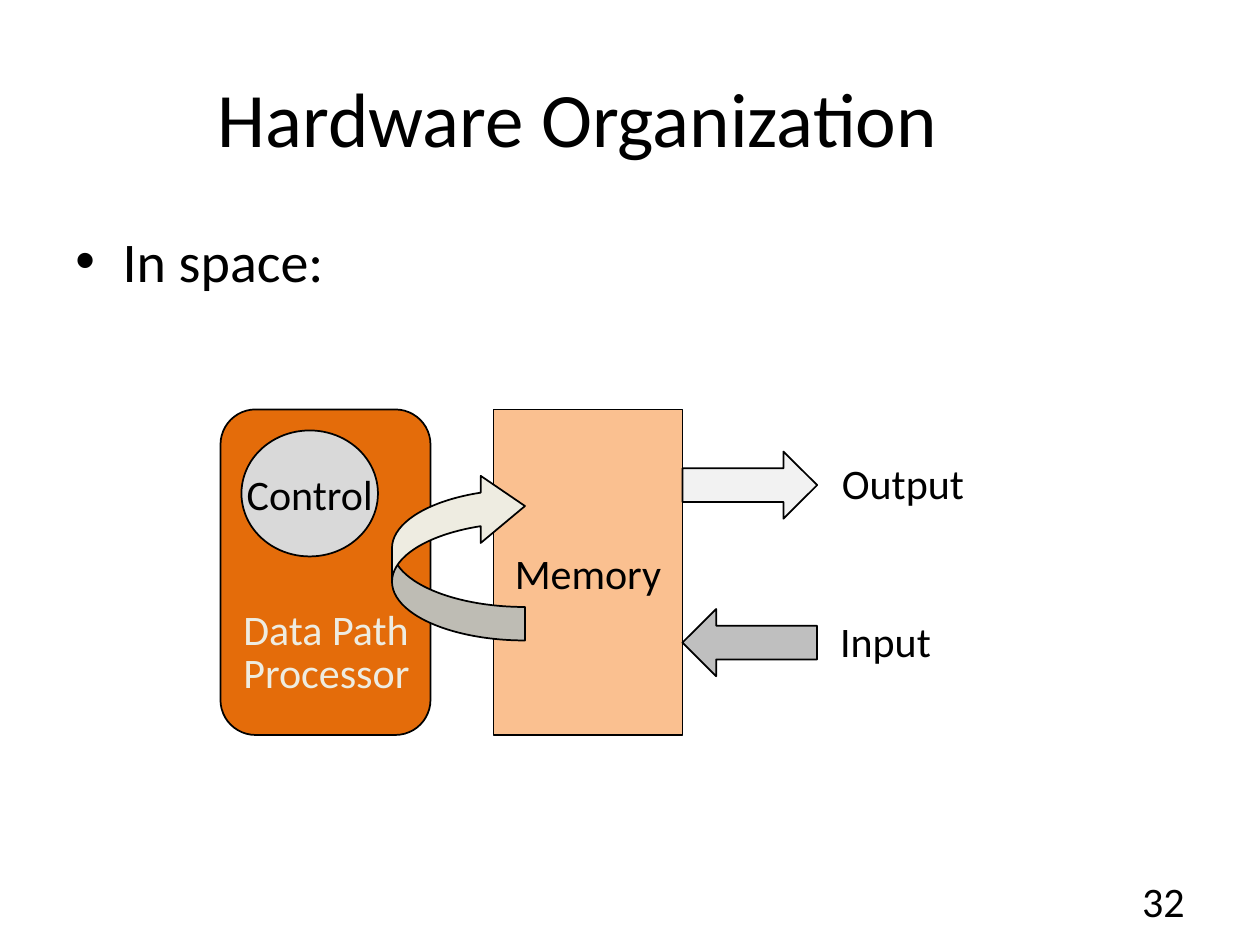
from lxml import etree
from pptx import Presentation
from pptx.dml.color import RGBColor
from pptx.enum.shapes import MSO_SHAPE
from pptx.enum.text import MSO_ANCHOR, MSO_AUTO_SIZE, PP_ALIGN
from pptx.oxml.ns import qn
from pptx.util import Pt

LEFT, CENTER, RIGHT = PP_ALIGN.LEFT, PP_ALIGN.CENTER, PP_ALIGN.RIGHT
TOP, MIDDLE = MSO_ANCHOR.TOP, MSO_ANCHOR.MIDDLE
ROUNDED, OVAL, RECTANGLE = MSO_SHAPE.ROUNDED_RECTANGLE, MSO_SHAPE.OVAL, MSO_SHAPE.RECTANGLE
CURVED_ARROW, ARROW = MSO_SHAPE.CURVED_RIGHT_ARROW, MSO_SHAPE.RIGHT_ARROW
GROW = MSO_AUTO_SIZE.SHAPE_TO_FIT_TEXT
BLACK, CREAM = "000000", "EEECE1"


def color(value):
    return RGBColor.from_string(value)


def write(box, text, size=24, ink=BLACK, align=LEFT, anchor=TOP, wrap=False):
    frame = box.text_frame
    frame.word_wrap = wrap
    frame.vertical_anchor = anchor
    para = frame.paragraphs[0]
    para.alignment = align
    span = para.add_run()
    span.text = text
    span.font.name = "Calibri"
    span.font.size = Pt(size)
    span.font.color.rgb = color(ink)
    return para


deck = Presentation()
deck.slide_width, deck.slide_height = Pt(720), Pt(540)
page = deck.slides.add_slide(deck.slide_layouts[6])

# Title, bullet and page number
title = page.shapes.add_textbox(Pt(36), Pt(21.6), Pt(588), Pt(90))
write(title, "Hardware Organization", 44, align=CENTER, anchor=MIDDLE, wrap=True)

body = page.shapes.add_textbox(Pt(36), Pt(126), Pt(648), Pt(356))
para = write(body, "In space:", 32, wrap=True)
properties = para._p.get_or_add_pPr()
properties.set("marL", str(Pt(27)))
properties.set("indent", str(Pt(-27)))
etree.SubElement(properties, qn("a:buFont")).set("typeface", "Arial")
etree.SubElement(properties, qn("a:buChar")).set("char", "•")

number = page.shapes.add_textbox(Pt(600), Pt(500.4), Pt(84), Pt(28.8))
write(number, "32", align=RIGHT, anchor=MIDDLE, wrap=True)

# Diagram blocks and arrows, back to front
blocks = [
    # kind, left, top, width, height, fill, adjustments, flip, text
    (ROUNDED, 126, 234, 120, 186, "E46C0A", [0.167], None, ""),
    (OVAL, 138, 246, 78, 72, "D9D9D9", [], None, "Control"),
    (RECTANGLE, 282, 234, 108, 186, "FAC090", [], None, "Memory"),
    (CURVED_ARROW, 224, 270, 76, 96, CREAM, [0.252, 0.505, 0.333], "flipV", ""),
    (ARROW, 390, 258, 77, 38.4, "F2F2F2", [0.5, 0.502], None, ""),
    (ARROW, 390, 348, 77, 38.4, "BFBFBF", [0.5, 0.502], "flipH", ""),
]
for kind, left, top, width, height, fill, adjustments, flip, text in blocks:
    block = page.shapes.add_shape(kind, Pt(left), Pt(top), Pt(width), Pt(height))
    block.shadow.inherit = False
    block.fill.solid()
    block.fill.fore_color.rgb = color(fill)
    block.line.color.rgb = color(BLACK)
    block.line.width = Pt(1)
    for index, value in enumerate(adjustments):
        block.adjustments[index] = value
    if flip:
        block.element.spPr.find(qn("a:xfrm")).set(flip, "1")
    if text:
        write(block, text, align=CENTER, anchor=MIDDLE)

# Labels
labels = [
    ("Processor", 132, 366, 110, CREAM),
    ("Data Path", 132, 341.5, 114, CREAM),
    ("Output", 474, 258, 85, BLACK),
    ("Input", 473, 348, 67, BLACK),
]
for text, left, top, width, ink in labels:
    label = page.shapes.add_textbox(Pt(left), Pt(top), Pt(width), Pt(36))
    write(label, text, ink=ink)
    label.text_frame.auto_size = GROW

deck.save("out.pptx")
